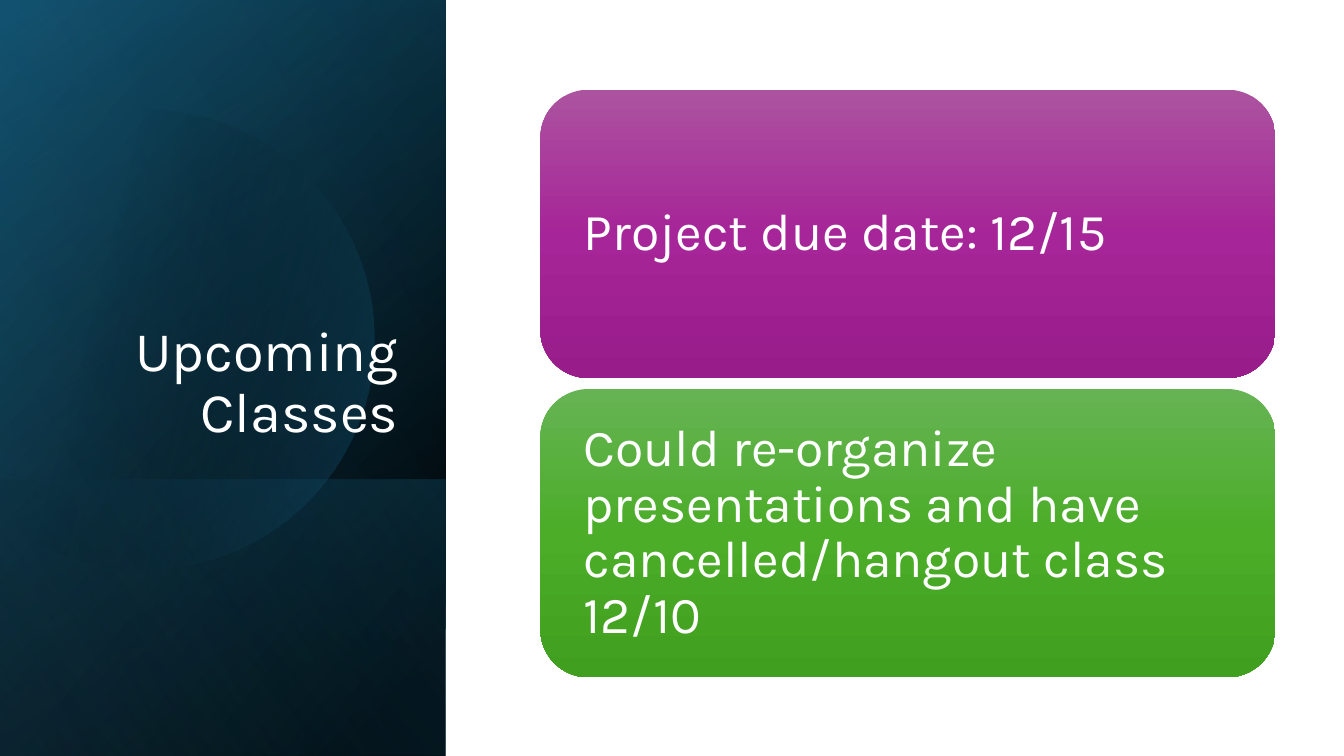
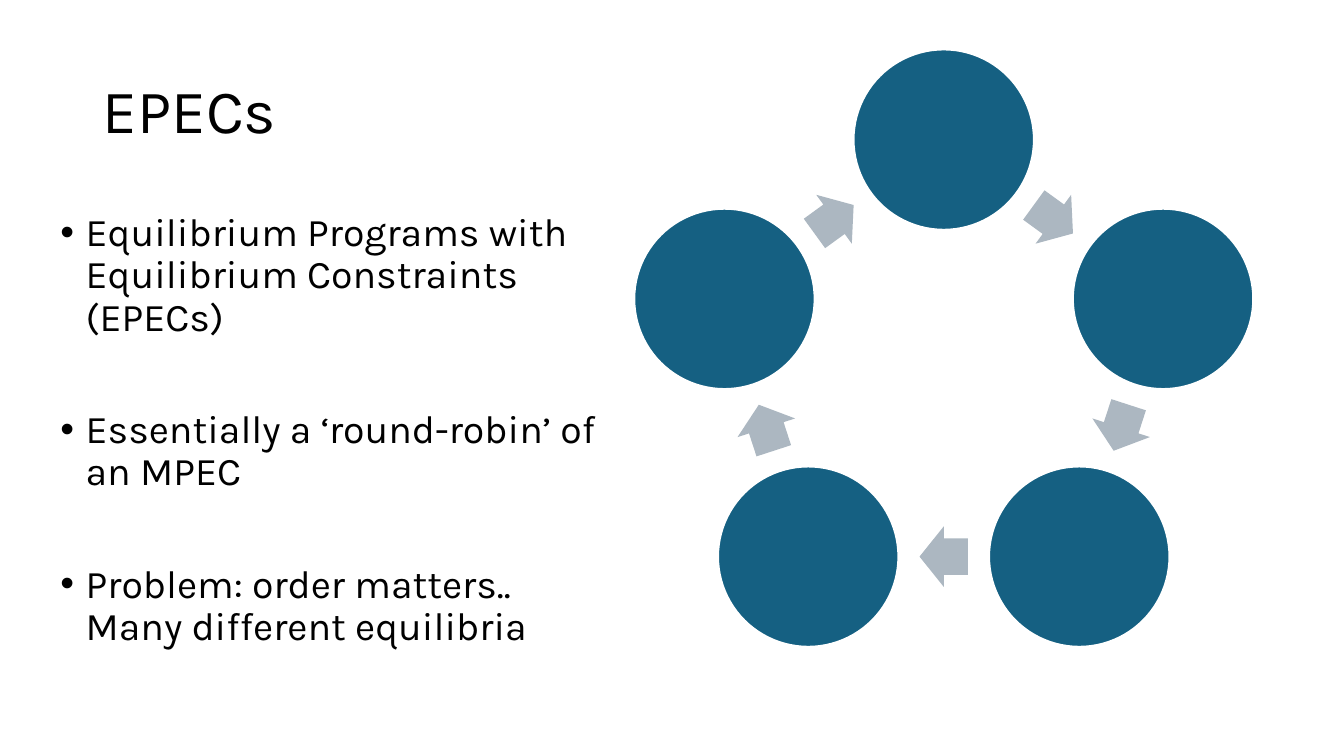
from dataclasses import dataclass
from math import acos, cos, pi, radians, sin
from pptx import Presentation
from pptx.dml.color import RGBColor
from pptx.enum.shapes import MSO_SHAPE as Shape
from pptx.enum.text import MSO_ANCHOR as Anchor, MSO_AUTO_SIZE as AutoSize, PP_ALIGN as Align
from pptx.oxml import parse_xml
from pptx.oxml.ns import nsdecls, qn
from pptx.util import Inches, Pt


@dataclass(frozen=True)
class Theme:
    font: str = "Karla"
    white: str = "FFFFFF"
    black: str = "000000"
    blue: str = "156082"
    deep_blue: str = "104862"
    sky: str = "46B1E1"
    arrow: str = "ACB7C1"
    purple_card: tuple = ("AC53A0", "A62598", "991C8B")
    green_card: tuple = ("66B354", "4BAD28", "409F1E")
    panel_title_size: int = 40
    title_size: int = 44
    card_size: int = 37
    body_size: int = 28
    line_spacing: float = 0.9


THEME = Theme()


def place(shape, box):
    shape.left, shape.top, shape.width, shape.height = (Inches(length) for length in box)


def paint(shape, color):
    shape.fill.solid()
    shape.fill.fore_color.rgb = RGBColor.from_string(color)


def paint_gradient(shape, stops, angle):
    marks = "".join(
        f'<a:gs pos="{position * 1000}"><a:srgbClr val="{color}">'
        f'<a:alpha val="{opacity * 1000}"/></a:srgbClr></a:gs>'
        for position, color, opacity in stops)
    gradient = parse_xml(
        f'<a:gradFill {nsdecls("a")} rotWithShape="1"><a:gsLst>{marks}</a:gsLst>'
        f'<a:lin ang="{angle * 60000}" scaled="0"/></a:gradFill>')
    shape.fill.background()
    properties = shape.element.spPr
    properties.replace(properties.find(qn("a:noFill")), gradient)


def add_plain(page, preset, box):
    shape = page.shapes.add_shape(preset, *(Inches(length) for length in box))
    shape.shadow.inherit = False
    shape.line.fill.background()
    return shape


def style_para(para, size, color, align=Align.LEFT):
    para.alignment = align
    para.line_spacing = THEME.line_spacing
    for span in para.runs:
        span.font.name = THEME.font
        span.font.size = Pt(size)
        span.font.color.rgb = RGBColor.from_string(color)


def set_title(page, box, text, size, color, align, anchor):
    title = page.shapes.title
    place(title, box)
    frame = title.text_frame
    frame.text = text
    frame.auto_size = AutoSize.NONE
    frame.vertical_anchor = anchor
    style_para(frame.paragraphs[0], size, color, align)
    return title


def add_turned_layer(page, box, stops, angle):
    left, top, width, height = box
    shift = (height - width) / 2
    layer = add_plain(page, Shape.RECTANGLE, (left - shift, top + shift, height, width))
    layer.rotation = 90
    layer.element.spPr.find(qn("a:xfrm")).set("flipH", "1")
    paint_gradient(layer, stops, angle)


def add_cut_disc(page, box):
    left, top, _, _ = box
    across, down, radius = 1.43, 3.37, 2.28
    limit = acos(-across / radius)
    steps = 90
    angles = [limit * (2 * step / steps - 1) for step in range(steps + 1)]
    points = [(Inches(left + across + radius * cos(angle)),
               Inches(top + down + radius * sin(angle))) for angle in angles]
    builder = page.shapes.build_freeform(*points[0])
    builder.add_line_segments(points[1:], close=True)
    disc = builder.convert_to_shape()
    disc.shadow.inherit = False
    disc.line.fill.background()
    paint_gradient(disc, [(29, THEME.black, 0), (100, THEME.blue, 43)], 14)


def add_panel(page, box, text):
    left, top, width, height = box
    foot_height = 2.74
    foot = (left, top + height - foot_height, width, foot_height)
    add_turned_layer(page, box, [(8, THEME.black, 100), (100, THEME.deep_blue, 100)], 50)
    add_turned_layer(page, box, [(0, THEME.black, 0), (99, THEME.blue, 46)], 30)
    add_turned_layer(page, foot, [(2, THEME.blue, 29), (100, THEME.black, 30)], 130)
    add_cut_disc(page, box)
    add_turned_layer(page, box, [(0, THEME.black, 0), (99, THEME.sky, 11)], 120)
    title = set_title(page, (left + 0.64, top + 1.84, 3.41, 2.62), text,
                      THEME.panel_title_size, THEME.white, Align.RIGHT, Anchor.BOTTOM)
    title.element.getparent().append(title.element)


def add_cards(page, box, cards):
    left, top, width, height = box
    gap = 0.11
    card_height = (height - gap * (len(cards) - 1)) / len(cards)
    for index, (text, colors) in enumerate(cards):
        card_top = top + index * (card_height + gap)
        card = add_plain(page, Shape.ROUNDED_RECTANGLE, (left, card_top, width, card_height))
        paint_gradient(card, [(50 * step, color, 100) for step, color in enumerate(colors)], 90)
        frame = card.text_frame
        frame.text = text
        frame.word_wrap = True
        frame.vertical_anchor = Anchor.MIDDLE
        frame.margin_left = frame.margin_right = Inches(0.29)
        style_para(frame.paragraphs[0], THEME.card_size, THEME.white)


def set_bullets(page, box, lines):
    body = page.placeholders[1]
    place(body, box)
    frame = body.text_frame
    frame.text = "\n".join(lines)
    frame.auto_size = AutoSize.NONE
    for index, para in enumerate(frame.paragraphs):
        properties = para._p.get_or_add_pPr()
        properties.set("marL", str(Inches(0.25)))
        properties.set("indent", str(Inches(-0.25)))
        properties.append(parse_xml(f'<a:buFont {nsdecls("a")} typeface="Arial"/>'))
        properties.append(parse_xml(f'<a:buChar {nsdecls("a")} char="•"/>'))
        para.space_before = Pt(50 if index else 0)
        style_para(para, THEME.body_size, THEME.black)


def add_cycle(page, box, count=5):
    left, top, width, _ = box
    diameter = 1.79
    arrow_width, arrow_height = 0.48, 0.6
    turn = 360 / count
    radius = (width - diameter) / 2 / sin(radians(turn))
    middle_x, middle_y = left + width / 2, top + diameter / 2 + radius

    def box_at(angle, distance, box_width, box_height):
        return (middle_x + distance * sin(radians(angle)) - box_width / 2,
                middle_y - distance * cos(radians(angle)) - box_height / 2,
                box_width, box_height)

    for index in range(count):
        angle = index * turn
        circle = add_plain(page, Shape.OVAL, box_at(angle, radius, diameter, diameter))
        paint(circle, THEME.blue)
        circle.line.color.rgb = RGBColor.from_string(THEME.white)
        circle.line.width = Pt(1.5)
        arrow_angle = angle + turn / 2
        arrow = add_plain(page, Shape.RIGHT_ARROW,
                          box_at(arrow_angle, radius * cos(pi / count), arrow_width, arrow_height))
        arrow.rotation = arrow_angle
        arrow.adjustments[0], arrow.adjustments[1] = 0.6, 0.5
        paint(arrow, THEME.arrow)


def build_classes(deck):
    page = deck.slides.add_slide(deck.slide_layouts[5])
    add_panel(page, (0, 0, 4.42, 7.5), "Upcoming Classes")
    add_cards(page, (5.36, 0.89, 7.29, 5.83), [
        ("Project due date: 12/15", THEME.purple_card),
        ("Could re-organize presentations and have cancelled/hangout class 12/10",
         THEME.green_card),
    ])


def build_epecs(deck):
    page = deck.slides.add_slide(deck.slide_layouts[1])
    set_title(page, (0.92, 0.4, 11.5, 1.45), "EPECs",
              THEME.title_size, THEME.black, Align.LEFT, Anchor.MIDDLE)
    set_bullets(page, (0.5, 2.06, 5.53, 4.76), [
        "Equilibrium Programs with Equilibrium Constraints (EPECs)",
        "Essentially a ‘round-robin’ of an MPEC",
        "Problem: order matters.. Many different equilibria",
    ])
    add_cycle(page, (6.29, 0.49, 6.14, 5.93))


def main():
    deck = Presentation()
    deck.slide_width, deck.slide_height = Inches(13.33), Inches(7.5)
    build_classes(deck)
    build_epecs(deck)
    deck.save("out.pptx")


if __name__ == "__main__":
    main()
